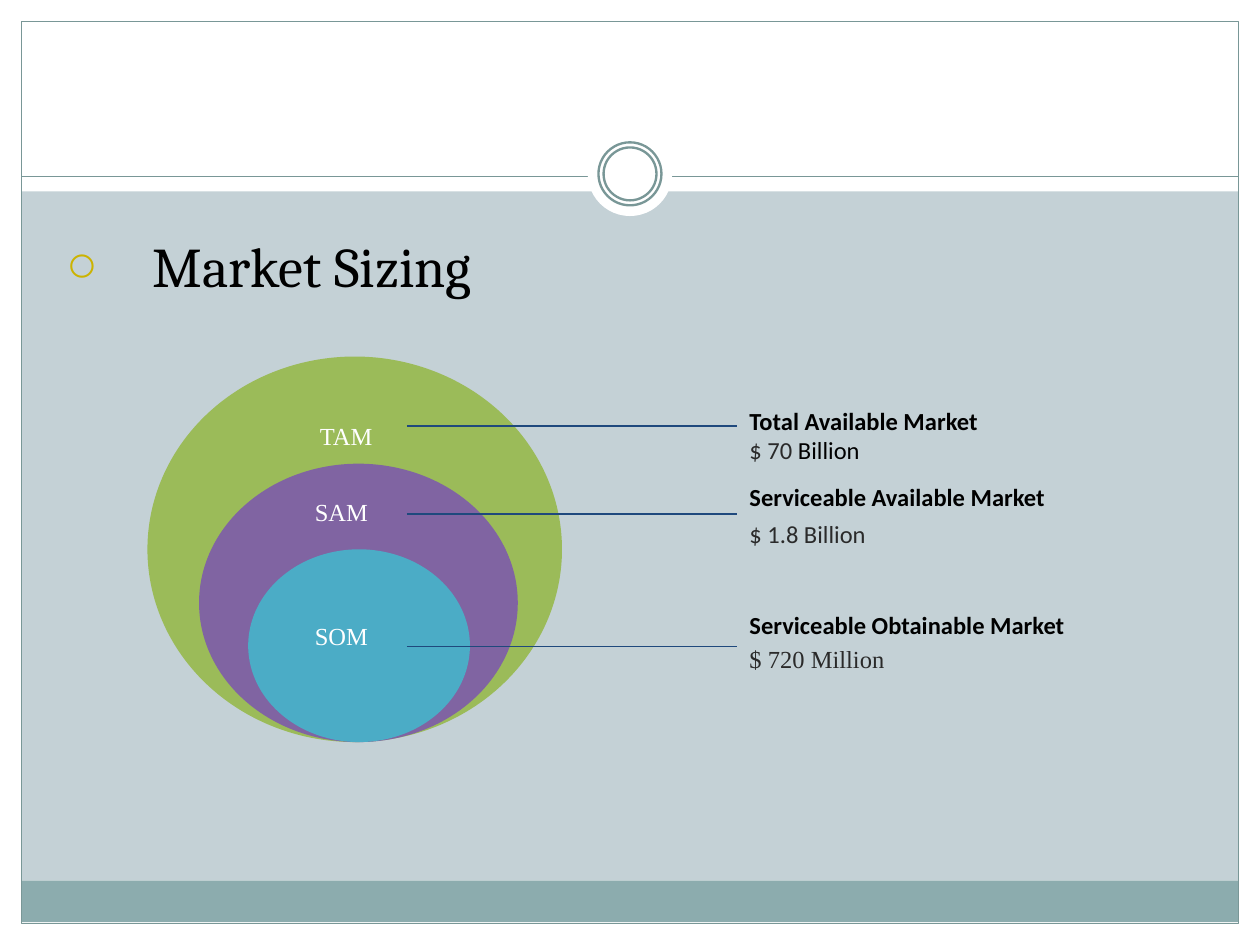
from lxml.etree import SubElement
from pptx import Presentation
from pptx.dml.color import RGBColor
from pptx.enum.shapes import MSO_CONNECTOR, MSO_SHAPE
from pptx.enum.text import MSO_ANCHOR, PP_ALIGN
from pptx.oxml.ns import qn
from pptx.util import Inches, Pt

COLORS = {
    "panel": "C4D1D6", "band": "8CACAE", "frame": "799797", "white": "FFFFFF",
    "gold": "CCB300", "black": "000000", "gray": "2A2A2A", "navy": "1F497D",
    "tam": "9BBB59", "sam": "8064A2", "som": "4BACC6",
}
SERIF = "Times New Roman"
SANS = "Calibri"


def color(name):
    return RGBColor.from_string(COLORS[name])


def add_shape(slide, kind, box, fill=None, line=None, width=0.75):
    shape = slide.shapes.add_shape(kind, *map(Inches, box))
    shape.shadow.inherit = False
    if fill:
        shape.fill.solid()
        shape.fill.fore_color.rgb = color(fill)
    else:
        shape.fill.background()
    if line:
        shape.line.color.rgb = color(line)
        shape.line.width = Pt(width)
    else:
        shape.line.fill.background()


def add_line(slide, left, right, y, tone):
    line = slide.shapes.add_connector(
        MSO_CONNECTOR.STRAIGHT, Inches(left), Inches(y), Inches(right), Inches(y))
    line.line.color.rgb = color(tone)
    line.line.width = Pt(0.75)
    SubElement(line._element.spPr, qn("a:effectLst"))


def style(run, face, tone, size=14, bold=False):
    run.font.name = face
    run.font.size = Pt(size)
    run.font.bold = bold
    run.font.color.rgb = color(tone)


def add_text(slide, box, lines, wrap=True):
    frame = slide.shapes.add_textbox(*map(Inches, box)).text_frame
    frame.word_wrap = wrap
    frame.text = "\n".join(text for text, *_ in lines)
    for para, (_, *look) in zip(frame.paragraphs, lines):
        style(para.runs[0], *look)
    return frame


def add_label(slide, left, top, text):
    frame = add_text(slide, (left, top, 2.06, 0.52), [(text, SERIF, "white")])
    frame.margin_left = frame.margin_right = Inches(0.1)
    frame.margin_top = frame.margin_bottom = Inches(0.1)
    para = frame.paragraphs[0]
    para.line_spacing = 1.15
    para.space_after = Pt(16)


def add_frame(slide):
    add_shape(slide, MSO_SHAPE.RECTANGLE, (0.17, 1.52, 9.66, 5.47), "panel")
    add_shape(slide, MSO_SHAPE.RECTANGLE, (0.17, 6.99, 9.66, 0.33), "band")
    add_shape(slide, MSO_SHAPE.RECTANGLE, (0.17, 0.17, 9.66, 7.16), line="frame")
    add_line(slide, 0.17, 9.83, 1.4, "frame")
    for size, fill, line in ((0.67, "white", None), (0.5, None, "frame"),
                             (0.42, None, "frame")):
        box = (5 - size / 2, 1.38 - size / 2, size, size)
        add_shape(slide, MSO_SHAPE.OVAL, box, fill, line, 1.33)


def add_title(slide, text):
    title = slide.shapes.title
    title.left, title.top = Inches(0.55), Inches(1.83)
    title.width, title.height = Inches(6.37), Inches(0.55)
    slide.shapes._spTree.append(title._element)
    frame = title.text_frame
    frame.text = text
    frame.vertical_anchor = MSO_ANCHOR.TOP
    frame.margin_left = frame.margin_right = frame.margin_bottom = 0
    frame.margin_top = Inches(0.01)
    para = frame.paragraphs[0]
    para.alignment = PP_ALIGN.LEFT
    style(para.runs[0], "Cambria", "black", 32)
    props = para._p.get_or_add_pPr()
    props.set("marL", str(Inches(0.66)))
    props.set("indent", str(Inches(-0.66)))
    tint = SubElement(props, qn("a:buClr"))
    SubElement(tint, qn("a:srgbClr"), val=COLORS["gold"])
    SubElement(props, qn("a:buSzPct"), val="75000")
    SubElement(props, qn("a:buFont"), typeface="Cambria")
    SubElement(props, qn("a:buChar"), char="⚪")


def add_market(slide):
    rings = (
        ("TAM", (1.17, 2.83, 3.29, 3.06), 2.44, 3.21, 3.38),
        ("SAM", (1.58, 3.68, 2.53, 2.21), 2.4, 3.81, 4.08),
        ("SOM", (1.97, 4.36, 1.76, 1.53), 2.4, 4.79, 5.13),
    )
    for name, box, *_ in rings:
        add_shape(slide, MSO_SHAPE.OVAL, box, name.lower())
    for name, _, left, top, y in rings:
        add_label(slide, left, top, name)
        add_line(slide, 3.23, 5.85, y, "navy")


def add_notes(slide):
    frame = add_text(slide, (5.85, 3.17, 2.03, 0.57), [
        ("Total Available Market", SANS, "black", 14, True),
        ("$ 70", SANS, "gray")], wrap=False)
    unit = frame.paragraphs[1].add_run()
    unit.text = " Billion"
    style(unit, SANS, "black")
    for top, text, face, tone, bold in (
            (3.78, "Serviceable Available Market", SANS, "black", True),
            (4.07, "$ 1.8 Billion", SANS, "gray", False),
            (4.79, "Serviceable Obtainable Market", SANS, "black", True),
            (5.06, "$ 720 Million", SERIF, "gray", False)):
        add_text(slide, (5.85, top, 4, 0.34), [(text, face, tone, 14, bold)])


def main():
    deck = Presentation()
    deck.slide_width, deck.slide_height = Inches(10), Inches(7.5)
    slide = deck.slides.add_slide(deck.slide_layouts[5])
    add_frame(slide)
    add_title(slide, "Market Sizing")
    add_market(slide)
    add_notes(slide)
    deck.save("out.pptx")


if __name__ == "__main__":
    main()
